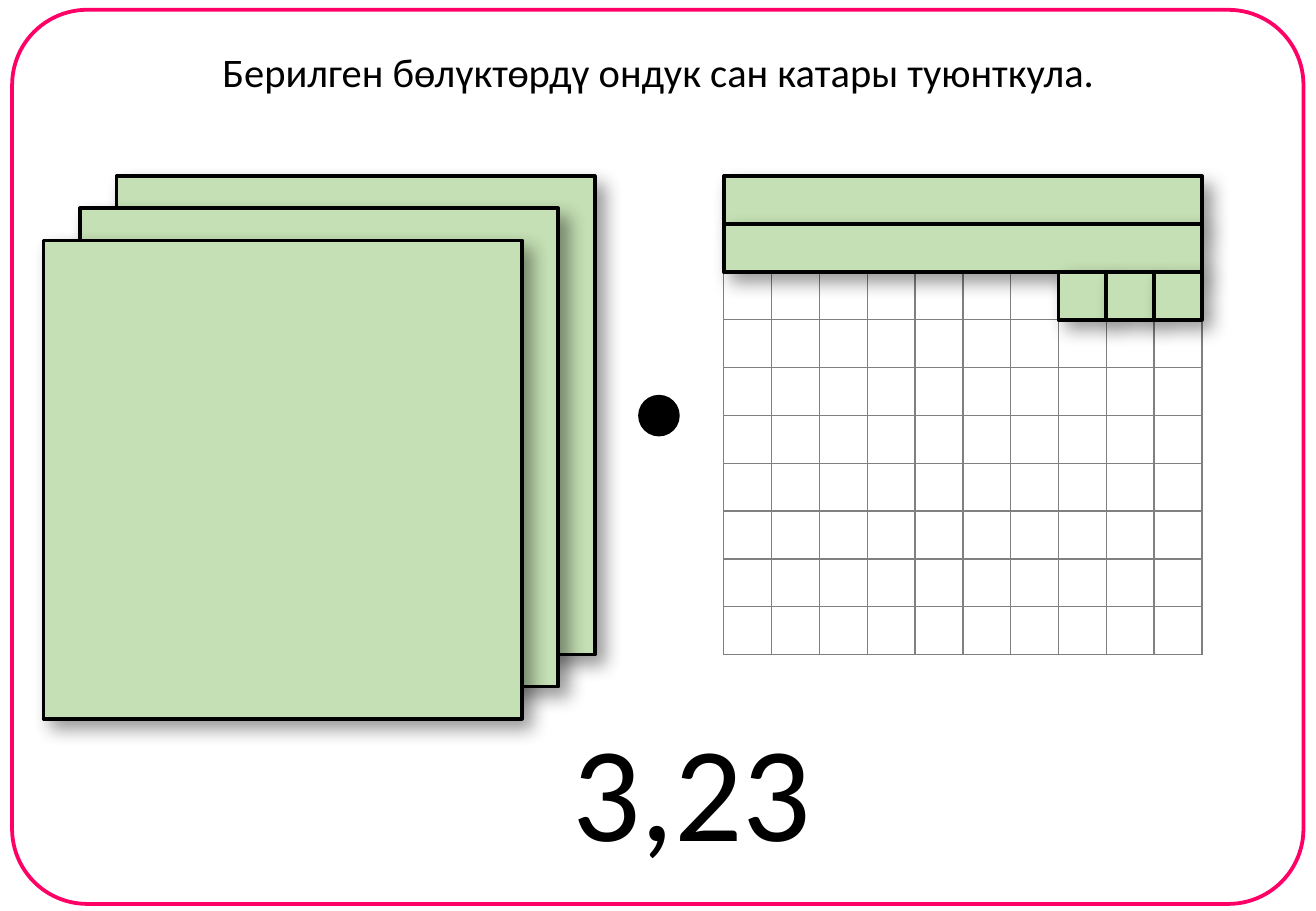
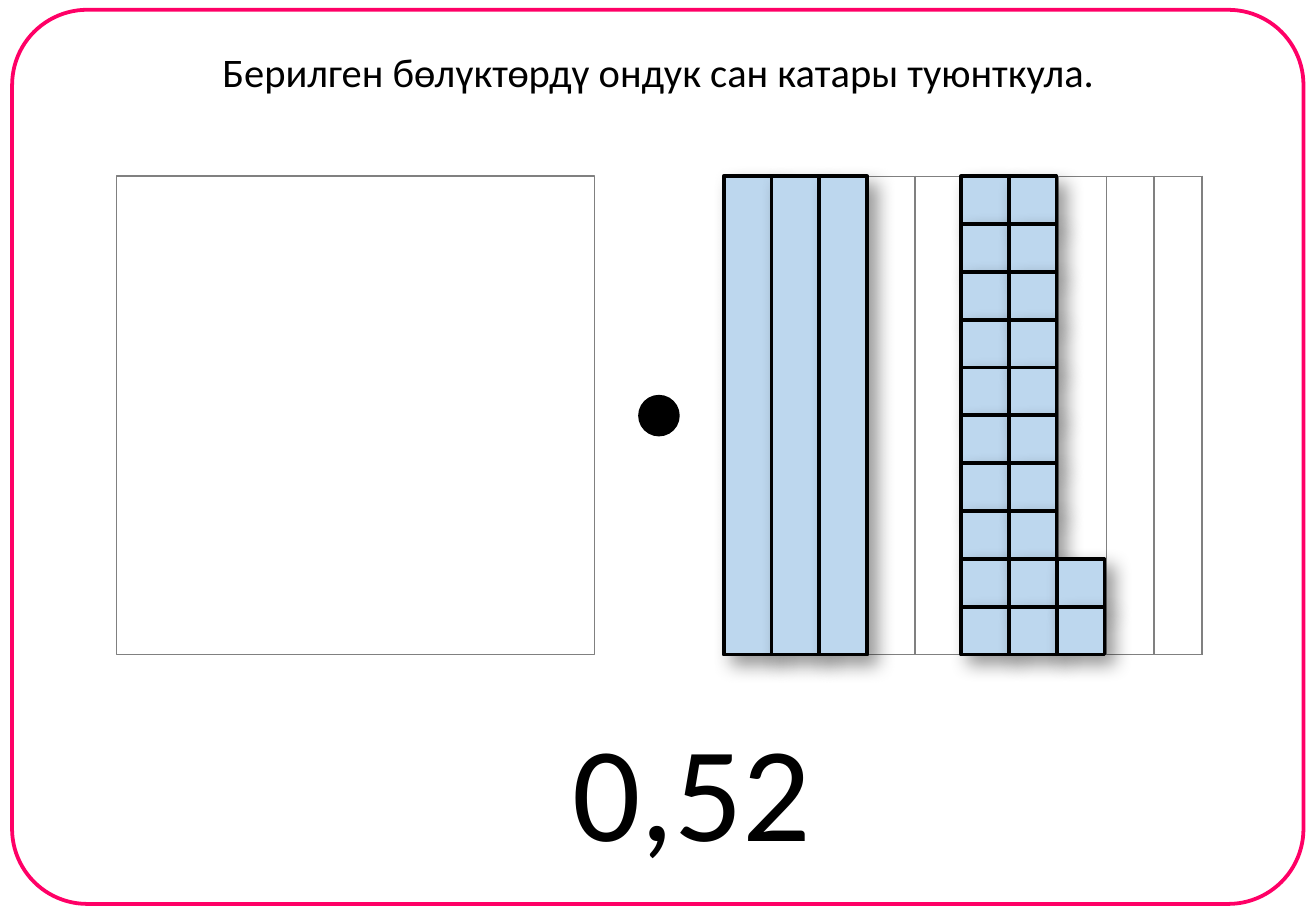
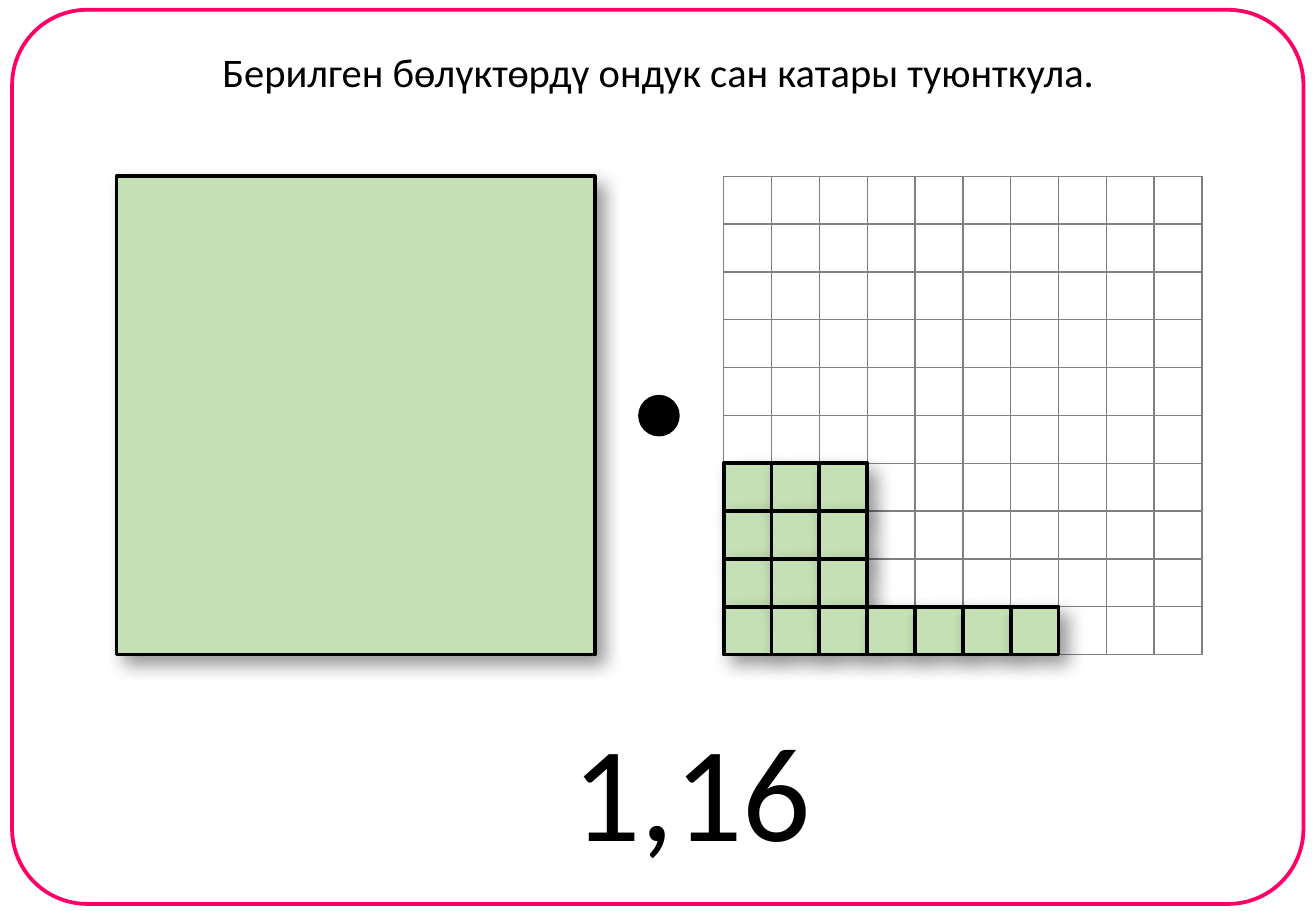
from lxml import etree
from pptx import Presentation
from pptx.dml.color import RGBColor
from pptx.enum.shapes import MSO_SHAPE
from pptx.enum.text import MSO_AUTO_SIZE, PP_ALIGN
from pptx.oxml import parse_xml
from pptx.oxml.ns import nsdecls, qn
from pptx.util import Pt

RECT = MSO_SHAPE.RECTANGLE
ROUND_RECT = MSO_SHAPE.ROUNDED_RECTANGLE
OVAL = MSO_SHAPE.OVAL
CENTER = PP_ALIGN.CENTER
FIT_SHAPE = MSO_AUTO_SIZE.SHAPE_TO_FIT_TEXT

FONT = "Calibri"
BLACK, WHITE, GRAY = "000000", "FFFFFF", "808080"
PINK, GREEN, BLUE = "FF0066", "C5E0B4", "BDD7EE"
TITLE = "Берилген бөлүктөрдү ондук сан катары туюнткула."

N = 10
CELL = 28.35
SIDE = N * CELL
TOP = 104.5
ONES_LEFT = 69
GRID_LEFT = 429


def rgb(value):
    return RGBColor.from_string(value)


def add_shape(slide, kind, x, y, w, h, fill=None, line=BLACK, weight=2.25):
    s = slide.shapes.add_shape(kind, Pt(x), Pt(y), Pt(w), Pt(h))
    s.shadow.inherit = False
    if fill:
        s.fill.solid()
        s.fill.fore_color.rgb = rgb(fill)
    else:
        s.fill.background()
    s.line.color.rgb = rgb(line)
    s.line.width = Pt(weight)
    return s


def add_block(slide, x, y, w, h, fill):
    s = add_shape(slide, RECT, x, y, w, h, fill)
    effects = s.element.spPr.find(qn("a:effectLst"))
    effects.append(parse_xml(
        f'<a:outerShdw {nsdecls("a")} blurRad="{Pt(11)}" dist="{Pt(7)}" '
        'dir="2700000" algn="tl" rotWithShape="0">'
        f'<a:srgbClr val="{BLACK}"><a:alpha val="40000"/></a:srgbClr>'
        '</a:outerShdw>'))


def add_text(slide, x, y, w, h, text, size):
    tf = slide.shapes.add_textbox(Pt(x), Pt(y), Pt(w), Pt(h)).text_frame
    tf.word_wrap = False
    tf.auto_size = FIT_SHAPE
    tf.text = text
    p = tf.paragraphs[0]
    p.alignment = CENTER
    font = p.runs[0].font
    font.name = FONT
    font.size = Pt(size)
    font.color.rgb = rgb(BLACK)


def style_cell(cell):
    cell.margin_left = cell.margin_right = 0
    cell.margin_top = cell.margin_bottom = 0
    tc_pr = cell._tc.get_or_add_tcPr()
    for side in ("lnL", "lnR", "lnT", "lnB"):
        ln = etree.SubElement(tc_pr, qn(f"a:{side}"), w=str(Pt(1)))
        solid = etree.SubElement(ln, qn("a:solidFill"))
        etree.SubElement(solid, qn("a:srgbClr"), val=GRAY)
    cell.fill.solid()
    cell.fill.fore_color.rgb = rgb(WHITE)


def add_grid(slide, x, y, side, merged_from=N):
    table = slide.shapes.add_table(N, N, Pt(x), Pt(y), Pt(side), Pt(side)).table
    table.first_row = False
    table.horz_banding = False
    for band in table.columns:
        band.width = Pt(side / N)
    for band in table.rows:
        band.height = Pt(side / N)
    for cell in table.iter_cells():
        style_cell(cell)
    for col in range(merged_from, N):
        table.cell(0, col).merge(table.cell(N - 1, col))


def add_blocks(slide, x, y, blocks, fill):
    for col, row, cols, rows in blocks:
        add_block(slide, x + col * CELL, y + row * CELL,
                  cols * CELL, rows * CELL, fill)


def add_ones(slide, x, y, side, count, fill):
    if not count:
        add_shape(slide, RECT, x, y, side, side, WHITE, GRAY, 1)
    for i in range(count):
        add_block(slide, x - 21.6 * i, y + 19 * i, side, side, fill)


def build_slide(prs, answer, ones, blocks, fill, merged_from=N):
    slide = prs.slides.add_slide(prs.slide_layouts[6])
    frame = add_shape(slide, ROUND_RECT, 7.2, 5.8, 765.4, 530, line=PINK)
    frame.adjustments[0] = 0.084
    add_grid(slide, GRID_LEFT, TOP, SIDE, merged_from)
    add_ones(slide, ONES_LEFT, TOP, SIDE, ones, fill)
    add_shape(slide, OVAL, 379.4, 235.2, 22.4, 22.4, BLACK)
    add_blocks(slide, GRID_LEFT, TOP, blocks, fill)
    add_text(slide, 331.2, 415.4, 157.7, 104.4, answer, 80)
    add_text(slide, 121.7, 24.5, 537.1, 36, TITLE, 24)


def units(cols, rows):
    return [(col, row, 1, 1) for col in cols for row in rows]


def main():
    prs = Presentation()
    prs.slide_width, prs.slide_height = Pt(780), Pt(540)

    tenth_rows = [(0, row, N, 1) for row in range(2)]
    build_slide(prs, "3,23", 3, tenth_rows + units(range(7, 10), [2]), GREEN)

    tenth_columns = [(col, 0, 1, N) for col in range(3)]
    loose_units = units((4.96, 5.96), range(N)) + units([6.96], (8, 9))
    build_slide(prs, "0,52", 0, tenth_columns + loose_units, BLUE, 2)

    corner_units = units(range(3), range(6, N)) + units(range(3, 7), [9])
    build_slide(prs, "1,16", 1, corner_units, GREEN)

    prs.save("out.pptx")


if __name__ == "__main__":
    main()
